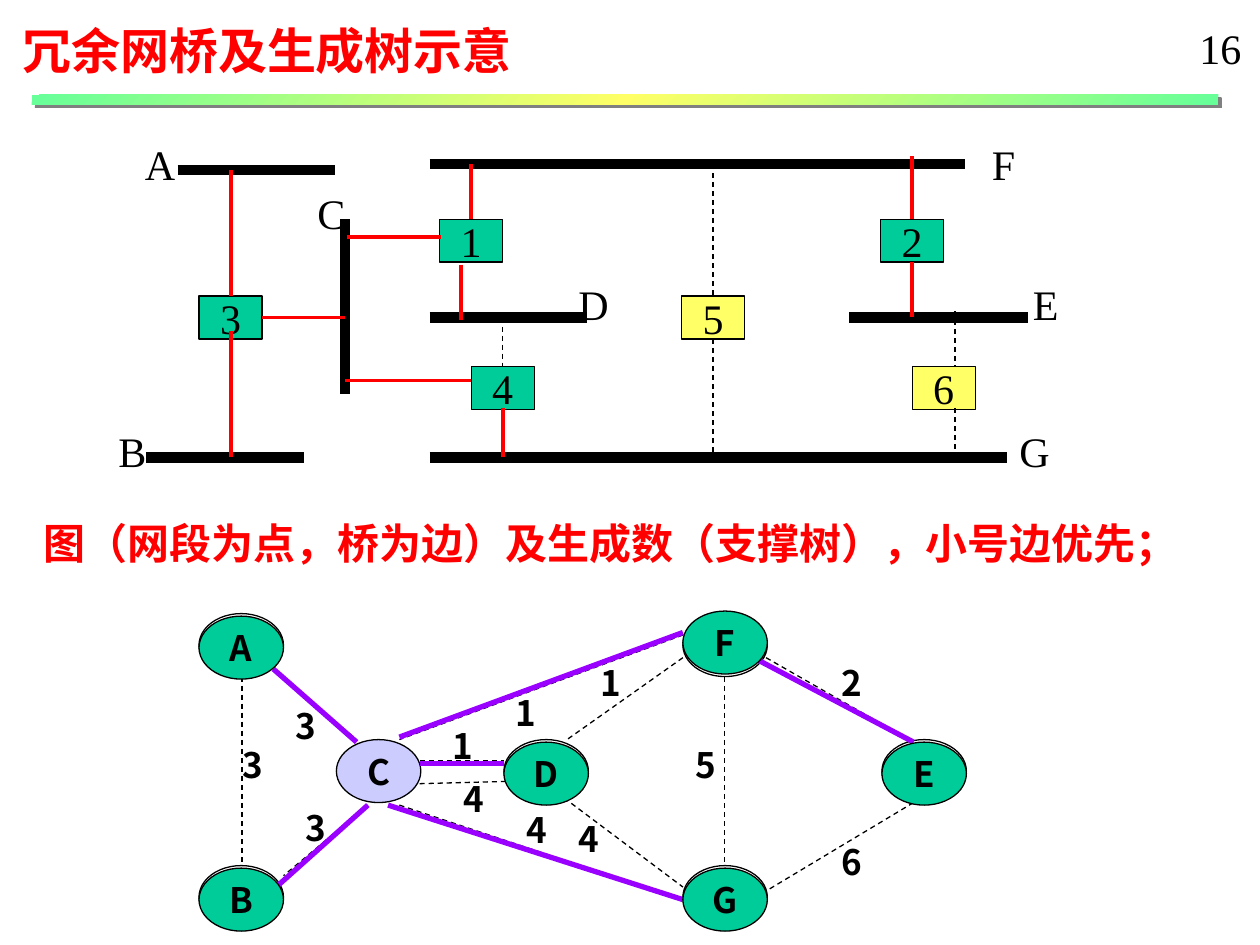
from lxml import etree
from pptx import Presentation
from pptx.dml.color import RGBColor
from pptx.enum.dml import MSO_LINE
from pptx.enum.shapes import MSO_CONNECTOR, MSO_SHAPE
from pptx.enum.text import MSO_ANCHOR, MSO_AUTO_SIZE, PP_ALIGN
from pptx.oxml import parse_xml
from pptx.oxml.ns import nsdecls, qn
from pptx.util import Inches, Pt

BLACK, RED, PURPLE = "000000", "FF0000", "9900FF"
GREEN, YELLOW, LILAC = "00CC99", "FFFF66", "CCCCFF"
SERIF, SANS = "Times New Roman", "Noto Sans CJK SC"
NODE_SIZE = (0.67, 0.5)


def color(value):
    return RGBColor.from_string(value)


class Painter:
    """Holds the text styles, the page and the shape collection drawn into."""

    styles = {
        "title": dict(name=SANS, size=Pt(28), bold=True, color=RED),
        "caption": dict(name=SANS, size=Pt(24), bold=True, color=RED),
        "serif": dict(name=SERIF, size=Pt(24), bold=False, color=BLACK),
        "graph": dict(name=SANS, size=Pt(20), bold=True, color=BLACK),
    }

    def __init__(self, page):
        self.page = page
        self.shapes = page.shapes

    def fill_text(self, box, words, style, **frame_format):
        frame = box.text_frame
        for name, value in frame_format.items():
            setattr(frame, name, value)
        para = frame.paragraphs[0]
        span = para.add_run()
        span.text = words
        values = dict(self.styles[style])
        span.font.color.rgb = color(values.pop("color"))
        for name, value in values.items():
            setattr(span.font, name, value)
        east_asian = etree.SubElement(span.font._element, qn("a:ea"))
        east_asian.set("typeface", values["name"])
        return para

    def text(self, left, top, width, height, words, style, centred=False, wrap=False):
        box = self.shapes.add_textbox(*map(Inches, (left, top, width, height)))
        para = self.fill_text(box, words, style, word_wrap=wrap,
                              auto_size=MSO_AUTO_SIZE.SHAPE_TO_FIT_TEXT,
                              vertical_anchor=MSO_ANCHOR.MIDDLE if centred else MSO_ANCHOR.TOP)
        para.alignment = PP_ALIGN.CENTER if centred else PP_ALIGN.LEFT

    def outlined(self, kind, left, top, size, words, style, fill=None):
        """Draw a black-edged shape with centred text; no fill leaves it hollow."""
        shape = self.shapes.add_shape(kind, *map(Inches, (left, top, *size)))
        shape.shadow.inherit = False
        if fill:
            shape.fill.solid()
            shape.fill.fore_color.rgb = color(fill)
        else:
            shape.fill.background()
        shape.line.color.rgb = color(BLACK)
        shape.line.width = Pt(0.75)
        para = self.fill_text(shape, words, style, word_wrap=False,
                              vertical_anchor=MSO_ANCHOR.MIDDLE)
        para.alignment = PP_ALIGN.CENTER

    def bridge(self, left, top, number, fill):
        self.outlined(MSO_SHAPE.RECTANGLE, left, top, (0.5, 0.34), number, "serif", fill)

    def node(self, left, top, name, fill=None):
        self.outlined(MSO_SHAPE.OVAL, left, top, NODE_SIZE, name, "graph", fill)

    def line(self, x1, y1, x2, y2, stroke=BLACK, width=0.75, dashed=False):
        line = self.shapes.add_connector(MSO_CONNECTOR.STRAIGHT,
                                         *map(Inches, (x1, y1, x2, y2)))
        line.line.color.rgb = color(stroke)
        line.line.width = Pt(width)
        if dashed:
            line.line.dash_style = MSO_LINE.DASH
        etree.SubElement(line._element.spPr, qn("a:effectLst"))

    def branch(self, ends, node):
        """Group a spanning tree edge with the node it reaches."""
        self.shapes = self.page.shapes.add_group_shape().shapes
        self.line(*ends, PURPLE, 3)
        self.node(*node, GREEN)
        self.shapes = self.page.shapes

    def rule(self, left, top, width, height):
        """Draw the gradient bar with its hard shadow."""
        bar = self.shapes.add_shape(MSO_SHAPE.RECTANGLE,
                                    *map(Inches, (left, top, width, height)))
        bar.line.fill.background()
        stops = "".join(f'<a:gs pos="{place}"><a:srgbClr val="{tone}"/></a:gs>'
                        for place, tone in ((0, "66FF99"), (50000, YELLOW), (100000, "66FF99")))
        props = bar._element.spPr
        props.find(qn("a:prstGeom")).addnext(parse_xml(
            f'<a:gradFill {nsdecls("a")} rotWithShape="1"><a:gsLst>{stops}</a:gsLst>'
            '<a:lin ang="2700000" scaled="1"/></a:gradFill>'))
        props.append(parse_xml(
            f'<a:effectLst {nsdecls("a")}><a:outerShdw dist="{Pt(2.8)}" dir="2700000" '
            'algn="ctr" rotWithShape="0"><a:srgbClr val="808080"/></a:outerShdw></a:effectLst>'))


def draw_network(painter):
    bridges = [(3.49, 1.74, "1", GREEN), (6.99, 1.74, "2", GREEN), (1.58, 2.35, "3", GREEN),
               (3.74, 2.91, "4", GREEN), (5.41, 2.35, "5", YELLOW), (7.24, 2.91, "6", YELLOW)]
    segments = [(1.41, 1.35, 2.66, 1.35), (1.16, 3.63, 2.41, 3.63), (2.74, 1.74, 2.74, 3.13),
                (3.41, 2.52, 4.66, 2.52), (6.74, 2.52, 8.16, 2.52), (3.41, 1.3, 7.66, 1.3),
                (3.41, 3.63, 7.99, 3.63)]
    active = [(1.83, 1.35, 1.83, 2.35), (1.83, 2.63, 1.83, 3.63), (2.08, 2.52, 2.74, 2.52),
              (3.74, 1.3, 3.74, 1.74), (3.66, 2.1, 3.66, 2.54), (3.99, 3.24, 3.99, 3.63),
              (7.24, 2.08, 7.24, 2.52), (7.24, 1.24, 7.24, 1.74), (2.74, 3.02, 3.74, 3.02),
              (2.75, 1.88, 3.5, 1.88)]
    blocked = [(3.99, 2.52, 3.99, 2.91), (5.66, 1.3, 5.66, 2.35), (5.66, 2.69, 5.66, 3.63),
               (7.58, 2.47, 7.58, 2.91), (7.58, 3.24, 7.58, 3.63)]
    names = [(1.05, 1.05, 0.44, "A"), (0.84, 3.33, 0.42, "B"), (2.42, 1.44, 0.42, "C"),
             (4.49, 2.16, 0.44, "D"), (8.1, 2.16, 0.4, "E"), (7.77, 1.05, 0.39, "F"),
             (7.99, 3.33, 0.44, "G")]
    for bridge in bridges:
        painter.bridge(*bridge)
    for ends in segments:
        painter.line(*ends, width=6)
    for ends in active:
        painter.line(*ends, RED, 2.25)
    for ends in blocked:
        painter.line(*ends, dashed=True)
    for left, top, width, name in names:
        painter.text(left, top, width, 0.5, name, "serif", centred=True)


def draw_graph(painter):
    nodes = [(1.58, 4.87, "A"), (1.58, 6.87, "B"), (2.67, 5.87, "C", LILAC), (4, 5.87, "D"),
             (7, 5.87, "E"), (5.42, 4.87, "F"), (5.42, 6.87, "G")]
    edges = [((1.92, 5.37, 1.92, 6.87), (1.83, 5.85), "3"),
             ((5.75, 5.37, 5.75, 6.87), (5.42, 5.85), "5"),
             ((6.08, 5.22, 7.25, 5.89), (6.58, 5.2), "2"),
             ((5.42, 5.22, 4.5, 5.87), (4.67, 5.2), "1"),
             ((2.17, 5.31, 2.83, 5.87), (2.25, 5.54), "3"),
             ((2.92, 6.39, 2.25, 6.95), (2.33, 6.35), "3"),
             ((3.33, 6.04, 4, 6.04), (3.49, 5.7), "1"),
             ((4.42, 6.29, 5.42, 7.04), (4.49, 6.44), "4"),
             ((7.25, 6.37, 6, 7.12), (6.58, 6.62), "6"),
             ((5.42, 5.04, 3.17, 5.87), (3.99, 5.44), "1"),
             ((3.17, 6.39, 5.42, 7.14), (4.08, 6.37), "4"),
             ((3.33, 6.22, 4.08, 6.2), (3.58, 6.12), "4")]
    tree = [((2.17, 5.31, 2.83, 5.89), (1.58, 4.89, "A")),
            ((6, 5.23, 7.25, 5.89), (7, 5.89, "E")),
            ((5.42, 5.02, 3.17, 5.85), (5.42, 4.85, "F")),
            ((5.42, 7.14, 3.08, 6.39), (5.42, 6.89, "G")),
            ((2.17, 7.06, 2.92, 6.39), (1.58, 6.89, "B")),
            ((3.33, 6.06, 4, 6.06), (4, 5.89, "D"))]
    for node in nodes:
        painter.node(*node)
    for ends, place, number in edges:
        painter.line(*ends, dashed=True)
        painter.text(*place, 0.34, 0.43, number, "graph")
    for ends, node in tree:
        painter.branch(ends, node)


def main():
    deck = Presentation()
    deck.slide_width, deck.slide_height = Inches(10), Inches(7.5)
    painter = Painter(deck.slides.add_slide(deck.slide_layouts[6]))
    painter.text(0.08, 0.11, 4.17, 0.57, "冗余网桥及生成树示意", "title", wrap=True)
    painter.text(9.42, 0.13, 0.53, 0.5, "16", "serif")
    painter.rule(0.25, 0.75, 9.42, 0.08)
    draw_network(painter)
    painter.text(0.25, 4.06, 9.2, 0.5,
                 "图（网段为点，桥为边）及生成数（支撑树），小号边优先；", "caption")
    draw_graph(painter)
    deck.save("out.pptx")


if __name__ == "__main__":
    main()
